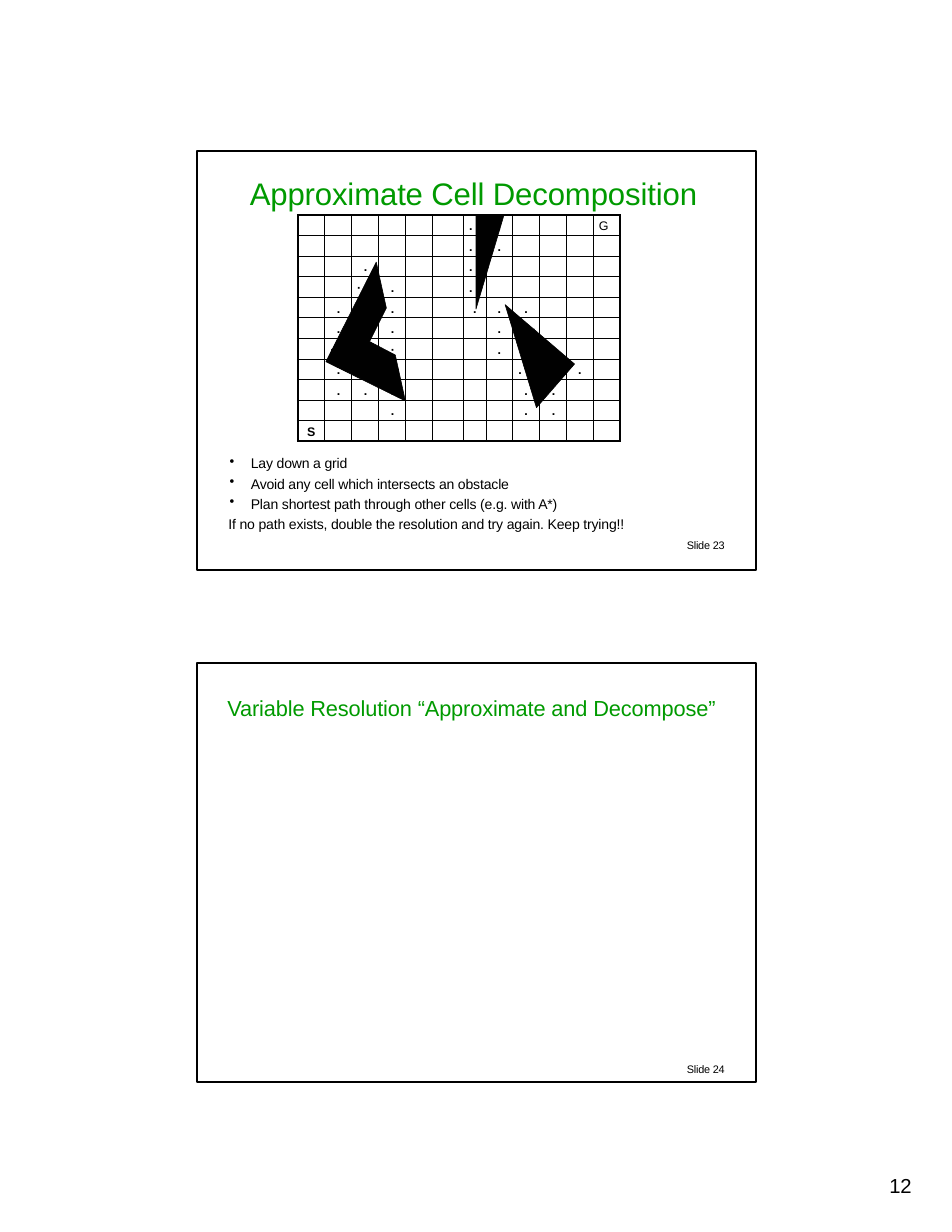
"""Build a handout page holding two framed slides on cell decomposition."""
from typing import NamedTuple

from lxml import etree
from pptx import Presentation
from pptx.enum.shapes import MSO_SHAPE
from pptx.enum.text import MSO_ANCHOR, PP_ALIGN
from pptx.dml.color import RGBColor
from pptx.oxml.ns import qn
from pptx.util import Inches, Pt

LEFT, CENTER, RIGHT = PP_ALIGN.LEFT, PP_ALIGN.CENTER, PP_ALIGN.RIGHT
TOP = MSO_ANCHOR.TOP
RECTANGLE = MSO_SHAPE.RECTANGLE
FONT = "Arial"
COLORS = {"title": "009A00", "text": "000000", "ink": "010101"}


class Mark(NamedTuple):
    text: str
    align: PP_ALIGN = LEFT
    left: float = 0
    right: float = 0
    size: float = 8
    bold: bool = True


class Obstacle(NamedTuple):
    corners: list[tuple[float, float]]


MARKS = {
    "a": Mark(".", left=0.05),
    "b": Mark(".", left=0.11),
    "d": Mark(".", left=0.16),
    "c": Mark(".", CENTER),
    "r": Mark(".", RIGHT, right=0.1),
    "s": Mark(".", RIGHT, right=0.04, size=5.5),
    "m": Mark("·", left=0.05),
    "n": Mark("·", left=0.11),
    "o": Mark("·", left=0.16),
    "G": Mark("G", left=0.05, bold=False),
    "S": Mark("S", CENTER),
}
GRID = [
    "------ac---G",
    "------ac----",
    "--r---a-----",
    "--mb--a-----",
    "-r-b--ccc---",
    "-r-b---cs---",
    "-m-n---c-d--",
    "-r-o----a-c-",
    "-rrb----cb--",
    "---b----cb--",
    "S-----------",
]
COLUMN_WIDTHS = [0.24] * 5 + [0.28, 0.2] + [0.24] * 5
GRID_HEIGHT = 2.02
OBSTACLES = [
    Obstacle([(4.5, 1.92), (4.25, 1.92), (4.25, 2.76)]),
    Obstacle([(4.51, 2.72), (4.79, 3.64), (5.13, 3.25)]),
    Obstacle([(3.36, 2.34), (2.91, 3.23), (3.62, 3.58),
              (3.53, 3.17), (3.3, 3.05), (3.45, 2.75)]),
]
STEPS = [
    "Lay down a grid",
    "Avoid any cell which intersects an obstacle",
    "Plan shortest path through other cells (e.g. with A*)",
]


def write(frame, text: str, *, size: float, color: str = "text", bold: bool = False,
          align: PP_ALIGN = LEFT, before: float = 0, spacing: int = 0,
          bullet: bool = False) -> None:
    """Write one formatted paragraph into a text frame."""
    first = frame.paragraphs[0]
    paragraph = frame.add_paragraph() if first.runs else first
    paragraph.alignment = align
    if before:
        paragraph.space_before = Pt(before)
    if bullet:
        properties = paragraph._p.get_or_add_pPr()
        properties.set("marL", str(Inches(0.2)))
        properties.set("indent", str(Inches(-0.19)))
        etree.SubElement(properties, qn("a:buChar")).set("char", "•")
    run = paragraph.add_run()
    run.text = text
    run.font.name = FONT
    run.font.size = Pt(size)
    run.font.bold = bold
    run.font.color.rgb = RGBColor.from_string(COLORS[color])
    if spacing:
        run._r.get_or_add_rPr().set("spc", str(spacing))


def set_margins(target, left: float = 0, top: float = 0, right: float = 0) -> None:
    """Set the inner margins of a text frame or a cell."""
    target.margin_left, target.margin_top = Inches(left), Inches(top)
    target.margin_right, target.margin_bottom = Inches(right), 0


def add_box(slide, left: float, top: float, width: float, height: float, inset: float = 0):
    """Add a wrapping text box and return its text frame."""
    frame = slide.shapes.add_textbox(
        Inches(left), Inches(top), Inches(width), Inches(height)).text_frame
    frame.word_wrap = True
    set_margins(frame, top=inset)
    return frame


def add_frame(slide, top: float):
    """Add the outline of one handout slide."""
    outline = slide.shapes.add_shape(
        RECTANGLE, Inches(1.76), Inches(top), Inches(4.99), Inches(3.74))
    outline.shadow.inherit = False
    outline.fill.background()
    outline.line.color.rgb = RGBColor.from_string(COLORS["text"])
    outline.line.width = Pt(1.02)
    return outline


def set_borders(cell, outer: dict[str, bool]) -> None:
    """Draw the cell borders, heavier on the outer sides."""
    properties = cell._tc.get_or_add_tcPr()
    for position, (side, heavy) in enumerate(outer.items()):
        line = etree.Element(qn(f"a:{side}"), w=str(Pt(1.5 if heavy else 0.5)))
        fill = etree.SubElement(line, qn("a:solidFill"))
        etree.SubElement(fill, qn("a:srgbClr"), val=COLORS["ink"])
        properties.insert(position, line)


def add_grid(slide) -> None:
    """Add the cell grid with its marks."""
    rows, columns = len(GRID), len(COLUMN_WIDTHS)
    table = slide.shapes.add_table(
        rows, columns, Inches(2.66), Inches(1.92),
        Inches(sum(COLUMN_WIDTHS)), Inches(GRID_HEIGHT)).table
    table.first_row = table.horz_banding = False
    for column, width in zip(table.columns, COLUMN_WIDTHS):
        column.width = Inches(width)
    for r, codes in enumerate(GRID):
        table.rows[r].height = Inches(GRID_HEIGHT / rows)
        for c, code in enumerate(codes):
            cell = table.cell(r, c)
            cell.fill.background()
            set_borders(cell, {"lnL": c == 0, "lnR": c == columns - 1,
                               "lnT": r == 0, "lnB": r == rows - 1})
            mark = MARKS.get(code)
            if mark:
                set_margins(cell, mark.left, 0.04, mark.right)
                write(cell.text_frame, mark.text, size=mark.size,
                      bold=mark.bold, align=mark.align)
            else:
                set_margins(cell)
                paragraph = cell.text_frame.paragraphs[0]._p
                etree.SubElement(paragraph, qn("a:endParaRPr")).set("sz", "800")


def add_obstacle(slide, obstacle: Obstacle) -> None:
    """Add one solid polygon."""
    start, *others = [(Inches(x), Inches(y)) for x, y in obstacle.corners]
    builder = slide.shapes.build_freeform(*start)
    builder.add_line_segments(others, close=True)
    polygon = builder.convert_to_shape()
    polygon.shadow.inherit = False
    polygon.fill.solid()
    polygon.fill.fore_color.rgb = RGBColor.from_string(COLORS["ink"])
    polygon.line.color.rgb = RGBColor.from_string(COLORS["ink"])
    polygon.line.width = Pt(0.37)


def main() -> None:
    """Build and save the page."""
    deck = Presentation()
    deck.slide_width, deck.slide_height = Inches(8.5), Inches(11)
    slide = deck.slides.add_slide(deck.slide_layouts[6])

    heading = add_box(slide, 2.23, 1.54, 4.15, 0.36, inset=0.02)
    write(heading, "Approximate Cell Decomposition", size=20, color="title", spacing=-10)
    notes = add_box(slide, 2.04, 3.98, 4.43, 0.92, inset=0.08)
    for step in STEPS:
        write(notes, step, size=9, spacing=-10, bullet=True,
              before=0 if step == STEPS[0] else 2.2)
    write(notes, "If no path exists, double the resolution and try again. Keep trying!!",
          size=9, spacing=-10, before=2.1)
    write(notes, "Slide 23", size=7, spacing=-10, align=RIGHT, before=4.1)

    add_grid(slide)
    for obstacle in OBSTACLES:
        add_obstacle(slide, obstacle)
    add_frame(slide, 1.35)

    resolution = add_frame(slide, 5.92).text_frame
    resolution.word_wrap = True
    resolution.vertical_anchor = TOP
    set_margins(resolution, 0.27, 0.28, 0.28)
    write(resolution, "Variable Resolution “Approximate and Decompose”",
          size=14, color="title", spacing=-10)
    write(resolution, "Slide 24", size=7, spacing=-10, align=RIGHT, before=220)

    page_number = add_box(slide, 7.94, 10.48, 0.26, 0.23)
    write(page_number, "12", size=13)
    deck.save("out.pptx")


if __name__ == "__main__":
    main()
